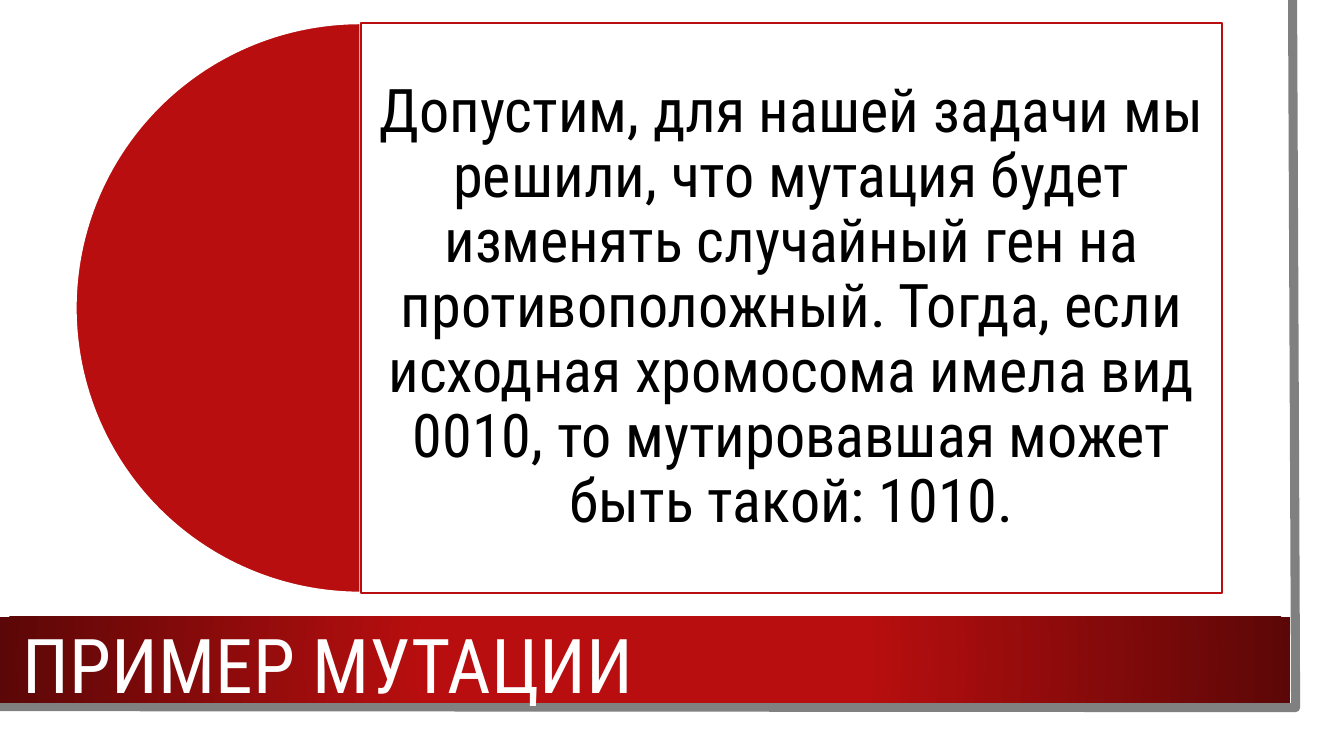
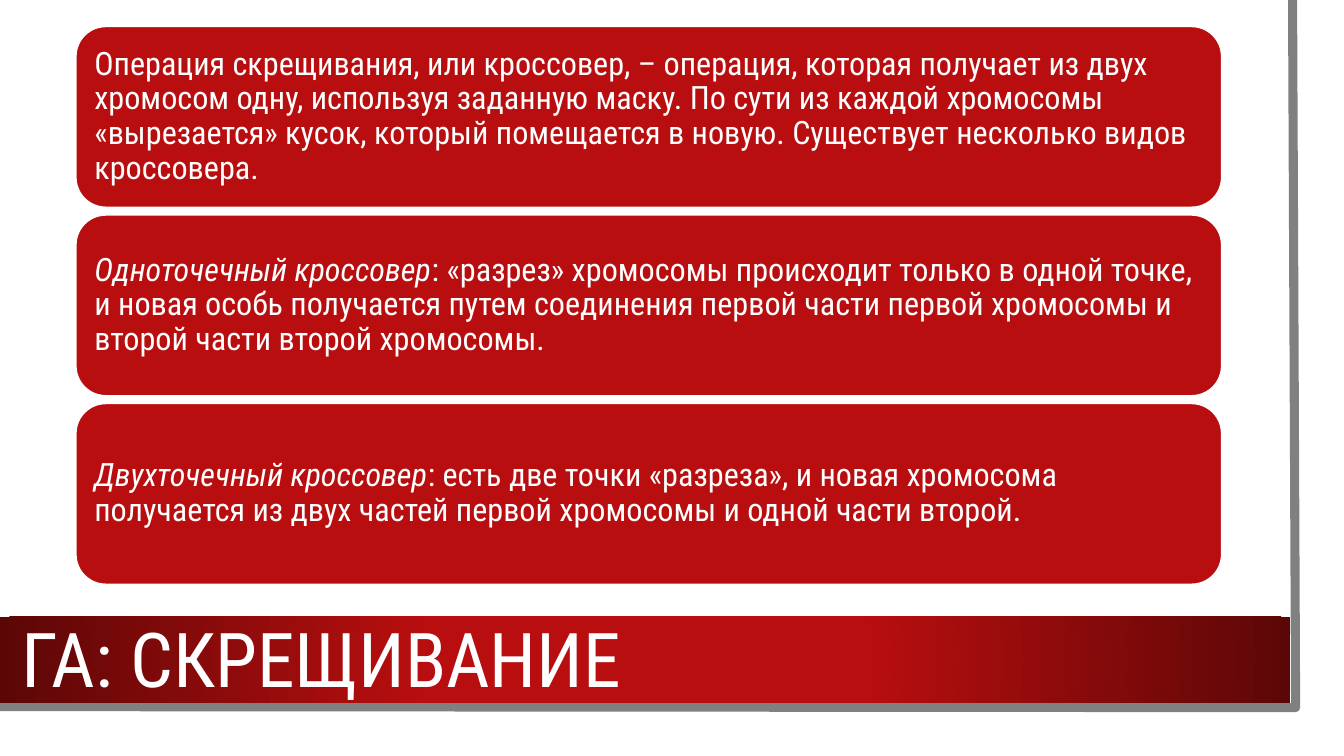
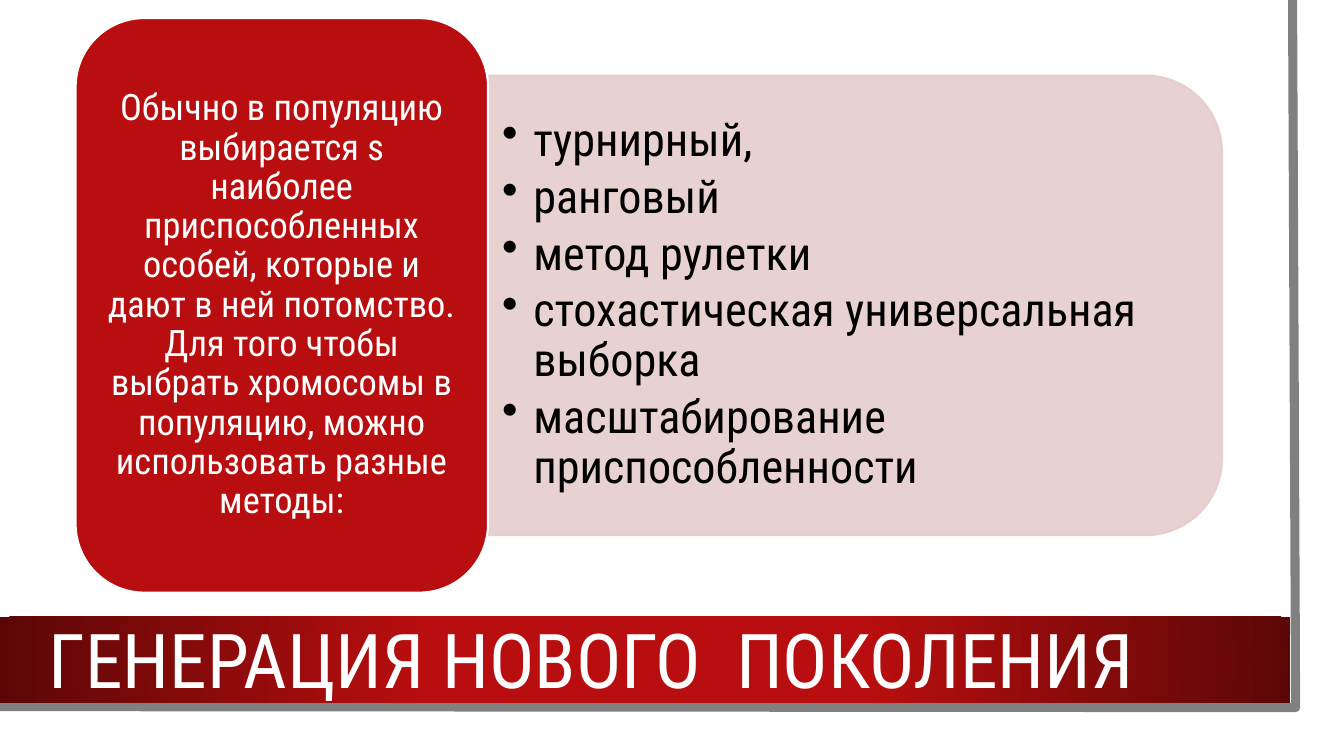
from dataclasses import dataclass

from lxml import etree
from pptx import Presentation
from pptx import util as u
from pptx.dml.color import RGBColor
from pptx.enum import shapes, text
from pptx.oxml import ns


@dataclass(frozen=True)
class Theme:
    font: str = "Roboto Condensed"
    red: str = "B80E0F"
    dark_red: str = "5C0707"
    pink: str = "E6CCCC"
    white: str = "FFFFFF"
    black: str = "000000"
    grey: str = "808080"
    title: int = 54
    statement: int = 43
    methods: int = 33
    intro: int = 26
    card: int = 23
    outline: float = 1.5
    frame: float = 6.5


THEME = Theme()
PRESET = shapes.MSO_SHAPE
LEFT, CENTER = text.PP_ALIGN.LEFT, text.PP_ALIGN.CENTER


def inches(*values):
    return [u.Inches(value) for value in values]


def set_values(target, values):
    for name, value in values.items():
        setattr(target, name, value)


def add_xml(parent, tag, **attributes):
    return etree.SubElement(parent, ns.qn(tag), attributes)


class Deck:
    def __init__(self, theme):
        self.theme = theme
        self.prs = Presentation()
        self.prs.slide_width, self.prs.slide_height = inches(13.33, 7.5)
        self.slide = None

    def new_slide(self, title, left, top):
        self.slide = self.prs.slides.add_slide(self.prs.slide_layouts[6])
        self.backdrop()
        self.text_box((left, top, 11.37, 1.26), [title], self.theme.title,
                      self.theme.white, insets=(0.1, 0.05))

    def backdrop(self):
        theme = self.theme
        self.shape(PRESET.RECTANGLE, (0, 0, 13.1, 7.27), theme.white)

        # Grey edge along the right and bottom of the sheet
        outline = self.slide.shapes.build_freeform(*inches(12.82, 0))
        outline.add_line_segments([inches(12.85, 7.02), inches(-0.03, 7.01)], close=False)
        edge = outline.convert_to_shape()
        edge.shadow.inherit = False
        edge.fill.background()
        self.outline(edge, theme.grey, theme.frame)

        # Title band, bright in the middle and dark at both ends
        band = self.shape(PRESET.RECTANGLE, (0, 6.12, 12.8, 0.85), theme.red)
        band.fill.gradient()
        stops = ((0.34, theme.red), (1, theme.dark_red))
        for stop, (position, color) in zip(band.fill.gradient_stops, stops):
            stop.position = position
            stop.color.rgb = RGBColor.from_string(color)
        gradient = band.element.spPr.find(ns.qn("a:gradFill"))
        gradient.remove(gradient.find(ns.qn("a:lin")))
        radial = etree.SubElement(gradient, ns.qn("a:path"), {"path": "circle"})
        add_xml(radial, "a:fillToRect", l="50000", t="50000", r="50000", b="50000")

    def outline(self, shape, color, width):
        shape.line.color.rgb = RGBColor.from_string(color)
        shape.line.width = u.Pt(width)

    def shape(self, preset, box, fill, line=None, alpha=None):
        shape = self.slide.shapes.add_shape(preset, *inches(*box))
        shape.shadow.inherit = False
        shape.fill.solid()
        shape.fill.fore_color.rgb = RGBColor.from_string(fill)
        if line:
            self.outline(shape, line, self.theme.outline)
        else:
            shape.line.fill.background()
        if alpha:
            for color in shape.element.spPr.iter(ns.qn("a:srgbClr")):
                add_xml(color, "a:alpha", val=str(alpha * 1000))
        return shape

    def text_box(self, box, paragraphs, size, color, **options):
        holder = self.slide.shapes.add_textbox(*inches(*box))
        self.fill_text(holder, paragraphs, size, color, **options)

    def fill_text(self, holder, paragraphs, size, color, insets, align=LEFT, bullets=False):
        """Each paragraph is a string, or a pair of an italic lead and plain text."""
        frame = holder.text_frame
        side, end = inches(*insets)
        set_values(frame, {"word_wrap": True, "vertical_anchor": text.MSO_ANCHOR.MIDDLE,
                           "margin_left": side, "margin_right": side,
                           "margin_top": end, "margin_bottom": end})
        for index, content in enumerate(paragraphs):
            paragraph = frame.paragraphs[0] if index == 0 else frame.add_paragraph()
            set_values(paragraph, {"alignment": align, "line_spacing": 0.9})
            if bullets:
                set_values(paragraph, {"level": 1, "space_after": u.Pt(5)})
                properties = paragraph._p.get_or_add_pPr()
                indent = u.Inches(0.31)
                properties.set("marL", str(indent))
                properties.set("indent", str(-indent))
                add_xml(properties, "a:buChar", char="•")
            lead, body = ("", content) if isinstance(content, str) else content
            for words, italic in ((lead, True), (body, False)):
                if words:
                    run = paragraph.add_run()
                    run.text = words
                    set_values(run.font, {"name": self.theme.font, "size": u.Pt(size),
                                          "italic": italic})
                    run.font.color.rgb = RGBColor.from_string(color)


def mutation_example(deck):
    theme = deck.theme
    deck.new_slide("ПРИМЕР МУТАЦИИ", 0.13, 6.01)
    half_disc = deck.shape(PRESET.PIE, (0.75, 0.23, 5.65, 5.65), theme.red, theme.white)
    half_disc.adjustments[0], half_disc.adjustments[1] = 54, 162
    statement = deck.shape(PRESET.RECTANGLE, (3.58, 0.23, 8.54, 5.65), theme.white, theme.red)
    deck.fill_text(statement, [
        "Допустим, для нашей задачи мы решили, что мутация будет изменять случайный ген "
        "на противоположный. Тогда, если исходная хромосома имела вид 0010, то "
        "мутировавшая может быть такой: 1010."],
        theme.statement, theme.black, insets=(0.18, 0.18), align=CENTER)


def crossover(deck):
    theme = deck.theme
    deck.new_slide("ГА: СКРЕЩИВАНИЕ", 0.12, 5.95)
    definitions = [
        "Операция скрещивания, или кроссовер, – операция, которая получает из двух "
        "хромосом одну, используя заданную маску. По сути из каждой хромосомы "
        "«вырезается» кусок, который помещается в новую. Существует несколько видов "
        "кроссовера.",
        ("Одноточечный кроссовер",
         ": «разрез» хромосомы происходит только в одной точке, и новая особь получается "
         "путем соединения первой части первой хромосомы и второй части второй хромосомы."),
        ("Двухточечный кроссовер",
         ": есть две точки «разреза», и новая хромосома получается из двух частей первой "
         "хромосомы и одной части второй."),
    ]
    height, gap = 1.8, 0.07
    for row, definition in enumerate(definitions):
        top = 0.26 + row * (height + gap)
        card = deck.shape(PRESET.ROUNDED_RECTANGLE, (0.75, top, 11.37, height),
                          theme.red, theme.white)
        deck.fill_text(card, [definition], theme.card, theme.white, insets=(0.1, 0.1))


def new_generation(deck):
    theme = deck.theme
    deck.new_slide("ГЕНЕРАЦИЯ НОВОГО  ПОКОЛЕНИЯ", 0.38, 5.96)

    # Selection methods; the panel is turned, so its text stands in a box of its own
    panel = deck.shape(PRESET.ROUND_2_SAME_RECTANGLE, (6.2, -0.61, 4.56, 7.28),
                       theme.pink, theme.pink, alpha=90)
    panel.rotation = 90
    methods = ["турнирный,", "ранговый", "метод рулетки",
               "стохастическая универсальная выборка",
               "масштабирование приспособленности"]
    deck.text_box((4.84, 0.97, 7.05, 4.11), methods, theme.methods, theme.black,
                  insets=(0.14, 0.07), bullets=True)

    # Introduction
    intro = deck.shape(PRESET.ROUNDED_RECTANGLE, (0.75, 0.18, 4.09, 5.7),
                       theme.red, theme.white)
    deck.fill_text(intro, [
        "Обычно в популяцию выбирается s наиболее приспособленных особей, которые и дают "
        "в ней потомство. Для того чтобы выбрать хромосомы в популяцию, можно "
        "использовать разные методы:"],
        theme.intro, theme.white, insets=(0.11, 0.05), align=CENTER)


def main():
    deck = Deck(THEME)
    for build in (mutation_example, crossover, new_generation):
        build(deck)
    deck.prs.save("out.pptx")


if __name__ == "__main__":
    main()
